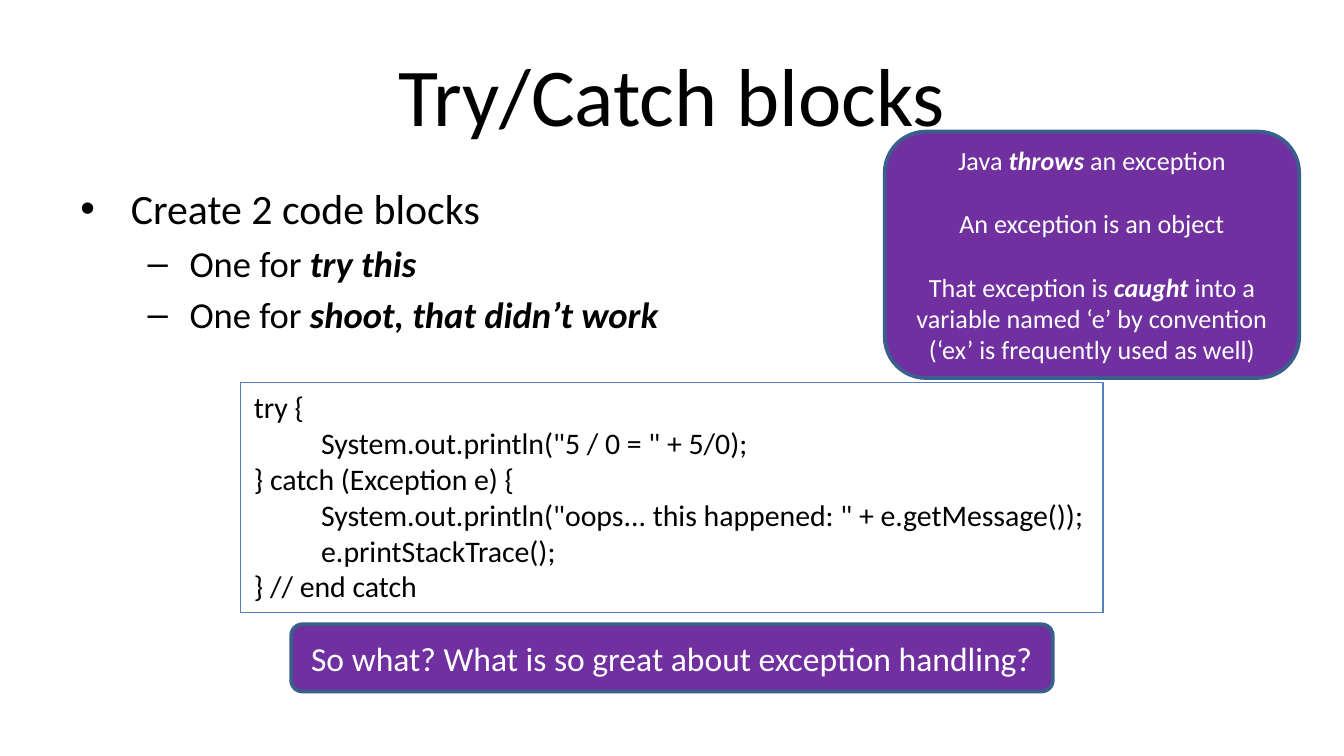
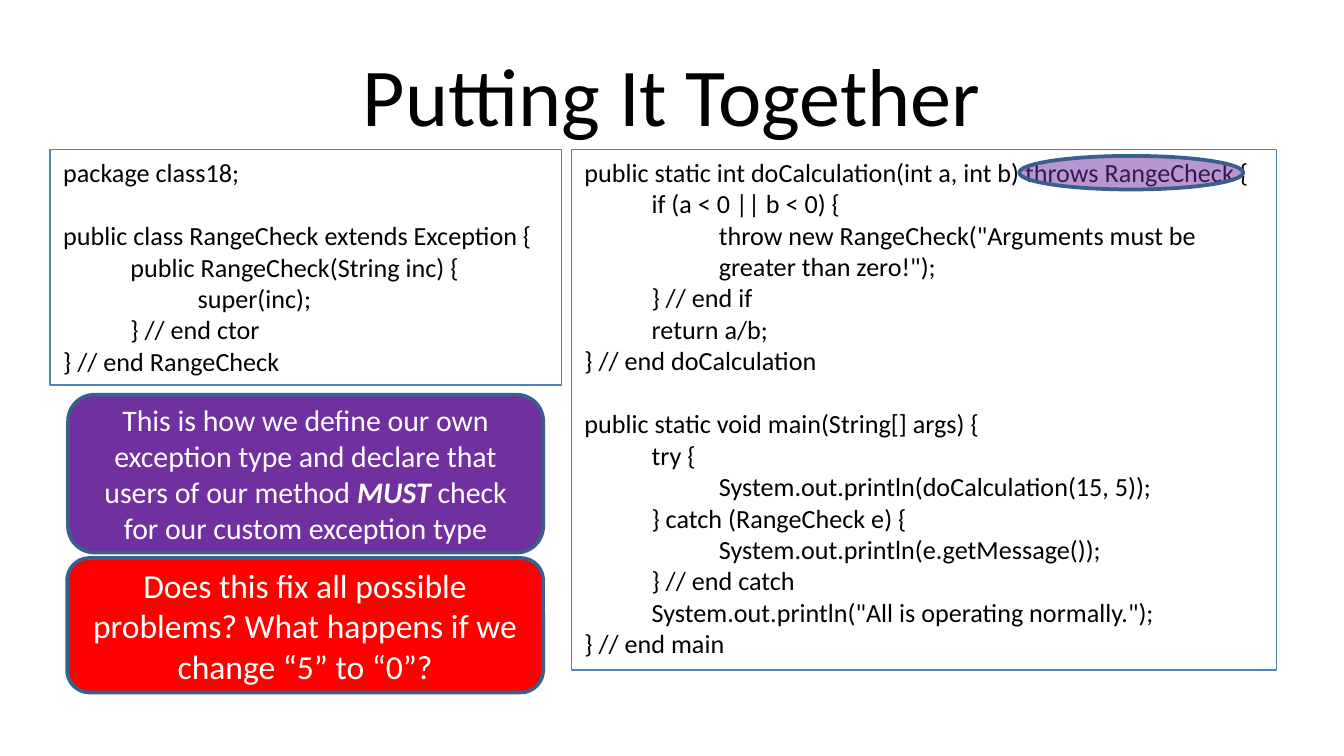
import dataclasses

import pptx
import pptx.dml.color
import pptx.enum.shapes
import pptx.enum.text
import pptx.oxml
import pptx.oxml.ns
import pptx.util

Pt = pptx.util.Pt
SHAPES = pptx.enum.shapes.MSO_SHAPE
ALIGN = pptx.enum.text.PP_ALIGN
ANCHOR = pptx.enum.text.MSO_ANCHOR


@dataclasses.dataclass(frozen=True)
class Theme:
    font: str = "Calibri"
    ink: str = "000000"
    light: str = "FFFFFF"
    purple: str = "7030A0"
    red: str = "FF0000"
    callout_line: str = "3A5F8C"
    code_line: str = "4F81BD"
    title_size: float = 44
    bullet_sizes: tuple = (22.4, 19.6)
    large: float = 18
    medium: float = 16
    small: float = 14
    line_height: float = 1.22
    code_indent: float = 36


THEME = Theme()
PAGE_WIDTH, PAGE_HEIGHT = 720, 405
MARGIN = 36


def rgb(code):
    return pptx.dml.color.RGBColor.from_string(code)


def write_paragraph(frame, text, *, size, color=THEME.ink, align=ALIGN.LEFT,
                    before=0, left=0, hanging=0, bullet=None):
    """Add one paragraph; words between asterisks become bold italic."""
    first = frame.paragraphs[0]
    para = frame.add_paragraph() if first.runs else first
    para.alignment = align
    para.space_before = Pt(before)
    for index, part in enumerate(text.split("*")):
        if not part:
            continue
        span = para.add_run()
        span.text = part
        span.font.name = THEME.font
        span.font.size = Pt(size)
        span.font.color.rgb = rgb(color)
        span.font.bold = span.font.italic = index % 2 == 1
    properties = para._p.get_or_add_pPr()
    properties.set("marL", str(Pt(left)))
    properties.set("indent", str(Pt(-hanging)))
    if bullet:
        for tag, name, value in (("a:buFont", "typeface", "Arial"),
                                 ("a:buChar", "char", bullet)):
            mark = pptx.oxml.parse_xml(f"<{tag} {pptx.oxml.ns.nsdecls('a')}/>")
            mark.set(name, value)
            properties.append(mark)


def add_frame(page, box):
    frame = page.shapes.add_textbox(*map(Pt, box)).text_frame
    frame.word_wrap = True
    return frame


def add_outlined(page, kind, box, *, line, weight, fill=None, opacity=100):
    shape = page.shapes.add_shape(kind, *map(Pt, box))
    shape.shadow.inherit = False
    shape.line.color.rgb = rgb(line)
    shape.line.width = Pt(weight)
    if fill is None:
        shape.fill.background()
    else:
        shape.fill.solid()
        shape.fill.fore_color.rgb = rgb(fill)
    if opacity < 100:
        color = shape._element.spPr.find(".//" + pptx.oxml.ns.qn("a:srgbClr"))
        color.append(pptx.oxml.parse_xml(
            f'<a:alpha {pptx.oxml.ns.nsdecls("a")} val="{opacity * 1000}"/>'))
    shape.text_frame.word_wrap = True
    return shape


def add_title(page, text):
    frame = add_frame(page, (MARGIN, 16.5, PAGE_WIDTH - 2 * MARGIN, 67.5))
    frame.vertical_anchor = ANCHOR.MIDDLE
    write_paragraph(frame, text, size=THEME.title_size, align=ALIGN.CENTER)


def add_bullets(page, box, items):
    frame = add_frame(page, box)
    styles = ((27, 27, "•"), (58.5, 22.5, "–"))
    for level, text in items:
        left, hanging, bullet = styles[level]
        size = THEME.bullet_sizes[level]
        write_paragraph(frame, text, size=size, before=size * 0.2,
                        left=left, hanging=hanging, bullet=bullet)


def add_callout(page, box, texts, *, size, fill=THEME.purple):
    """Rounded box of centred paragraphs, one line apart."""
    shape = add_outlined(page, SHAPES.ROUNDED_RECTANGLE, box,
                         line=THEME.callout_line, weight=2, fill=fill)
    frame = shape.text_frame
    frame.vertical_anchor = ANCHOR.MIDDLE
    frame.margin_top = frame.margin_bottom = 0
    for index, text in enumerate(texts):
        write_paragraph(frame, text, size=size, color=THEME.light, align=ALIGN.CENTER,
                        before=size * THEME.line_height if index else 0)


def add_code(page, box, sections, *, size):
    """Thin frame of code: sections of (level, line), one line apart."""
    shape = add_outlined(page, SHAPES.RECTANGLE, box, line=THEME.code_line, weight=0.75)
    frame = shape.text_frame
    frame.vertical_anchor = ANCHOR.TOP
    for number, section in enumerate(sections):
        for index, (level, line) in enumerate(section):
            gap = size * THEME.line_height if number and not index else 0
            write_paragraph(frame, line, size=size, before=gap,
                            left=level * THEME.code_indent)


def add_highlight(page, box):
    add_outlined(page, SHAPES.OVAL, box, line=THEME.callout_line, weight=2,
                 fill=THEME.purple, opacity=50)


def build_try_catch(page):
    add_title(page, "Try/Catch blocks")
    add_bullets(page, (MARGIN, 94.5, 432, 84), [
        (0, "Create 2 code blocks"),
        (1, "One for *try this*"),
        (1, "One for *shoot, that didn’t work*"),
    ])
    add_callout(page, (474, 70.5, 222, 132), [
        "Java *throws* an exception",
        "An exception is an object",
        "That exception is *caught* into a variable named ‘e’ by convention "
        "(‘ex’ is frequently used as well)",
    ], size=THEME.small)
    add_callout(page, (156, 334.5, 408, 36),
                ["So what? What is so great about exception handling?"], size=THEME.large)
    add_code(page, (129, 204.8, 462, 123.5), [[
        (0, "try {"),
        (1, 'System.out.println("5 / 0 = " + 5/0);'),
        (0, "} catch (Exception e) {"),
        (1, 'System.out.println("oops... this happened: " + e.getMessage());'),
        (1, "e.printStackTrace();"),
        (0, "} // end catch"),
    ]], size=THEME.medium)


def build_putting_together(page):
    code_top = 80.2
    # Method and main program
    add_code(page, (306, code_top, 378, 278.8), [[
        (0, "public static int doCalculation(int a, int b) throws RangeCheck {"),
        (1, "if (a < 0 || b < 0) {"),
        (2, 'throw new RangeCheck("Arguments must be greater than zero!");'),
        (1, "} // end if"),
        (1, "return a/b;"),
        (0, "} // end doCalculation"),
    ], [
        (0, "public static void main(String[] args) {"),
        (1, "try {"),
        (2, "System.out.println(doCalculation(15, 5));"),
        (1, "} catch (RangeCheck e) {"),
        (2, "System.out.println(e.getMessage());"),
        (1, "} // end catch"),
        (1, 'System.out.println("All is operating normally.");'),
        (0, "} // end main"),
    ]], size=THEME.small)
    add_title(page, "Putting It Together")
    # Explanation, tall enough for four lines, and the clause it refers to
    add_callout(page, (36.5, 211.5, 254.5, 84.5), [
        "This is how we define our own exception type and declare that users of "
        "our method *MUST* check for our custom exception type",
    ], size=THEME.medium)
    add_highlight(page, (546, 83.5, 120, 18))
    # Exception class
    add_code(page, (26.8, code_top, 274.2, 126), [[
        (0, "package class18;"),
    ], [
        (0, "public class RangeCheck extends Exception {"),
        (1, "public RangeCheck(String inc) {"),
        (2, "super(inc);"),
        (1, "} // end ctor"),
        (0, "} // end RangeCheck"),
    ]], size=THEME.small)
    add_callout(page, (MARGIN, 299, 255, 72), [
        "Does this fix all possible problems? What happens if we change “5” to “0”?",
    ], size=THEME.large, fill=THEME.red)


def main():
    deck = pptx.Presentation()
    deck.slide_width, deck.slide_height = Pt(PAGE_WIDTH), Pt(PAGE_HEIGHT)
    for build in (build_try_catch, build_putting_together):
        build(deck.slides.add_slide(deck.slide_layouts[6]))
    deck.save("out.pptx")


if __name__ == "__main__":
    main()
